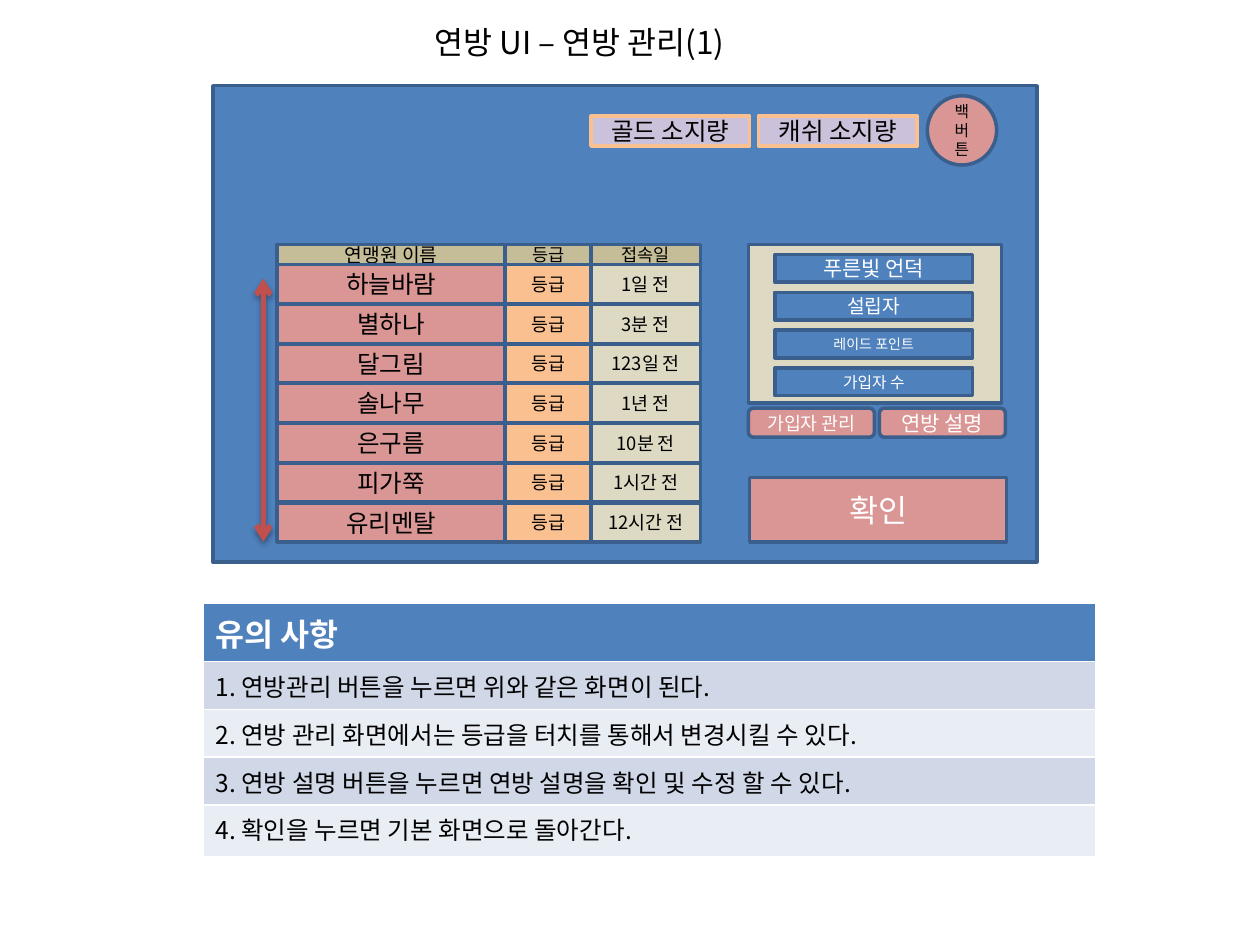
"""Build the slide describing the federation management screen."""
import lxml.etree
import pptx
import pptx.dml.color
import pptx.enum.shapes
import pptx.enum.text
import pptx.oxml
import pptx.oxml.ns
import pptx.util

FONT = "Noto Sans CJK KR"
BLACK, WHITE, BLUE, NAVY = "000000", "FFFFFF", "4F81BD", "3A5F8C"
PINK, SAND, KHAKI, ORANGE, LILAC = "D99694", "DDD9C3", "C4BD97", "FAC090", "CCC1DA"
RECTANGLE = pptx.enum.shapes.MSO_SHAPE.RECTANGLE
ROUNDED = pptx.enum.shapes.MSO_SHAPE.ROUNDED_RECTANGLE
OVAL = pptx.enum.shapes.MSO_SHAPE.OVAL
inches = pptx.util.Inches


def write(paragraph, text, size, color, bold=False):
    run = paragraph.add_run()
    run.text = text
    run.font.name = FONT
    run.font.size = pptx.util.Pt(size)
    run.font.bold = bold
    run.font.color.rgb = pptx.dml.color.RGBColor.from_string(color)
    properties = run.font._element
    east_asian = lxml.etree.SubElement(properties, pptx.oxml.ns.qn("a:ea"))
    east_asian.set("typeface", FONT)


def add_box(shapes, box, fill, text="", size=14, color=BLACK, kind=RECTANGLE, line=NAVY):
    shape = shapes.add_shape(kind, *[inches(length) for length in box])
    shape.shadow.inherit = False
    shape.fill.solid()
    shape.fill.fore_color.rgb = pptx.dml.color.RGBColor.from_string(fill)
    shape.line.color.rgb = pptx.dml.color.RGBColor.from_string(line)
    shape.line.width = pptx.util.Pt(2)
    if text:
        shape.text_frame.vertical_anchor = pptx.enum.text.MSO_ANCHOR.MIDDLE
        paragraph = shape.text_frame.paragraphs[0]
        paragraph.alignment = pptx.enum.text.PP_ALIGN.CENTER
        write(paragraph, text, size, color)


presentation = pptx.Presentation()
presentation.slide_width, presentation.slide_height = inches(10), inches(7.5)
slide = presentation.slides.add_slide(presentation.slide_layouts[5])

title = slide.shapes.title
title.left, title.top, title.width, title.height = [
    inches(length) for length in (3.35, 0.13, 2.74, 0.4)]
title.text_frame.word_wrap = False
title.text_frame.auto_size = pptx.enum.text.MSO_AUTO_SIZE.SHAPE_TO_FIT_TEXT
title.text_frame.vertical_anchor = pptx.enum.text.MSO_ANCHOR.TOP
title.text_frame.paragraphs[0].alignment = pptx.enum.text.PP_ALIGN.LEFT
write(title.text_frame.paragraphs[0], "연방 UI – 연방 관리(1)", 18, BLACK)

notices = [
    "유의 사항",
    "1. 연방관리 버튼을 누르면 위와 같은 화면이 된다.",
    "2. 연방 관리 화면에서는 등급을 터치를 통해서 변경시킬 수 있다.",
    "3. 연방 설명 버튼을 누르면 연방 설명을 확인 및 수정 할 수 있다.",
    "4. 확인을 누르면 기본 화면으로 돌아간다.",
]
row_heights = [0.46, 0.38, 0.38, 0.38, 0.41]
table = slide.shapes.add_table(
    len(notices), 1, inches(1.61), inches(4.79), inches(7.09), inches(sum(row_heights))).table
for index, (notice, height) in enumerate(zip(notices, row_heights)):
    table.rows[index].height = inches(height)
    cell = table.cell(index, 0)
    header = index == 0
    fill = BLUE if header else ("E9EDF4", "D0D8E8")[index % 2]
    cell.fill.solid()
    cell.fill.fore_color.rgb = pptx.dml.color.RGBColor.from_string(fill)
    write(cell.text_frame.paragraphs[0], notice, 18 if header else 14,
          WHITE if header else BLACK, header)

screen = slide.shapes.add_group_shape().shapes
add_box(screen, (1.69, 0.68, 6.54, 3.78), BLUE)

members = [("하늘바람", "1일 전"), ("별하나", "3분 전"), ("달그림", "123일 전"),
           ("솔나무", "1년 전"), ("은구름", "10분 전"), ("피가쭉", "1시간 전"),
           ("유리멘탈", "12시간 전")]
names, visits = zip(*members)
columns = [
    (2.2, 1.81, "연맹원 이름", 11, names, 14, PINK),
    (4.69, 0.87, "접속일", 10, visits, 10.5, SAND),
    (4.01, 0.68, "등급", 10, ["등급"] * len(members), 10.5, ORANGE),
]
for left, width, heading, heading_size, entries, size, fill in columns:
    add_box(screen, (left, 1.94, width, 0.16), KHAKI, heading, heading_size)
    for row, entry in enumerate(entries):
        add_box(screen, (left, 2.1 + 0.315 * row, width, 0.31), fill, entry, size)

scroll = screen.add_connector(pptx.enum.shapes.MSO_CONNECTOR.STRAIGHT,
                              inches(2.09), inches(4.3), inches(2.09), inches(2.21))
scroll.line.color.rgb = pptx.dml.color.RGBColor.from_string("C0504D")
scroll.line.width = pptx.util.Pt(3)
for end in ("a:headEnd", "a:tailEnd"):
    arrowhead = lxml.etree.SubElement(scroll.line._get_or_add_ln(), pptx.oxml.ns.qn(end))
    arrowhead.set("type", "arrow")
scroll._element.spPr.append(pptx.oxml.parse_xml(
    f'<a:effectLst {pptx.oxml.ns.nsdecls("a")}>'
    '<a:outerShdw blurRad="40000" dist="23000" dir="5400000" rotWithShape="0">'
    '<a:srgbClr val="000000"><a:alpha val="35000"/></a:srgbClr>'
    '</a:outerShdw></a:effectLst>'))

for left, label in ((4.69, "골드 소지량"), (6.02, "캐쉬 소지량")):
    add_box(screen, (left, 0.92, 1.26, 0.24), LILAC, label, line=ORANGE)
add_box(screen, (7.36, 0.76, 0.55, 0.55), PINK, "백버튼", 9, kind=OVAL)

add_box(screen, (5.94, 1.94, 2.01, 1.26), SAND)
details = [("푸른빛 언덕", 12), ("설립자", 11), ("레이드 포인트", 8), ("가입자 수", 9)]
for row, (label, size) in enumerate(details):
    add_box(screen, (6.15, 2.02 + 0.3 * row, 1.57, 0.22), BLUE, label, size, WHITE)
for left, label, size in ((5.94, "가입자 관리", 10.5), (6.98, "연방 설명", 12)):
    add_box(screen, (left, 3.24, 1, 0.23), PINK, label, size, WHITE, ROUNDED)

add_box(slide.shapes, (5.95, 3.79, 2.04, 0.51), PINK, "확인", 18, WHITE)

presentation.save("out.pptx")
